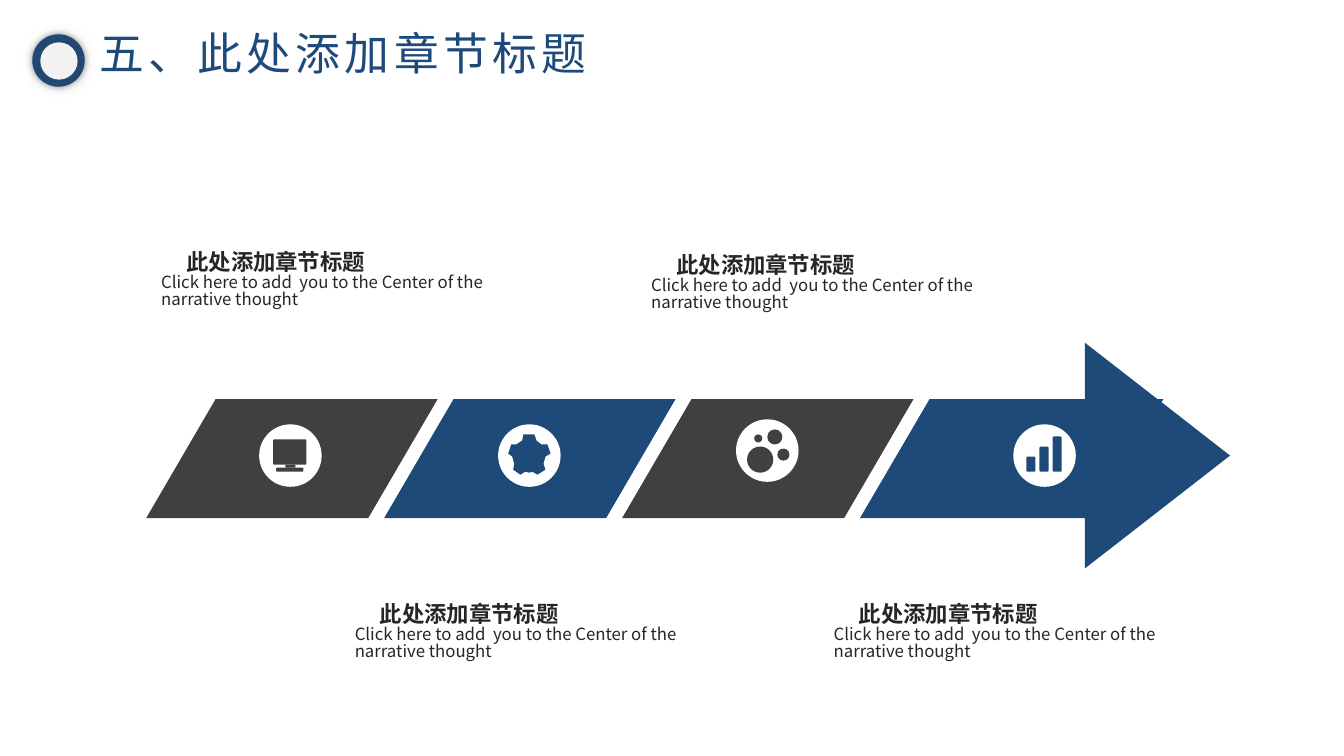
from lxml.etree import SubElement
from pptx import Presentation
from pptx.dml.color import RGBColor
from pptx.enum.shapes import MSO_SHAPE
from pptx.enum.text import MSO_ANCHOR
from pptx.oxml.ns import qn
from pptx.util import Emu, Pt

PX = 9144  # one px is a hundredth of an inch
FONT = "Noto Sans CJK SC"
NAVY, BLUE, GRAY = "1E4A7B", "1E4A7A", "404040"
WHITE, PALE, INK = "FFFFFF", "F2F2F2", "262626"
OVAL, RECT = MSO_SHAPE.OVAL, MSO_SHAPE.RECTANGLE
ROUND, SLANT = MSO_SHAPE.ROUNDED_RECTANGLE, MSO_SHAPE.PARALLELOGRAM

HEAD = "此处添加章节标题"
BODY = ["Click here to add  you to the Center of the", "narrative thought"]

ARROW = [(1076, 340), (1148, 396), (1154, 396), (1152, 399), (1220, 452),
         (1076, 564), (1076, 514), (853, 514), (922, 396), (1076, 396)]
GEAR = [(16, 1), (14, 8), (16, 14), (8, 19), (3, 16), (0, 17), (-4, 16),
        (-9, 19), (-16, 14), (-15, 8), (-17, 1), (-21, -2), (-18, -11),
        (-13, -11), (-7, -15), (-6, -21), (5, -21), (7, -15), (12, -11),
        (18, -11), (21, -2)]


def emu(*sizes):
    return [Emu(size * PX) for size in sizes]


def color(code):
    return RGBColor.from_string(code)


def paint(shape, code):
    shape.shadow.inherit = False
    shape.fill.solid()
    shape.fill.fore_color.rgb = color(code)
    shape.line.fill.background()
    return shape


def block(shapes, kind, box, code, adj=None):
    shape = paint(shapes.add_shape(kind, *emu(*box)), code)
    if adj is not None:
        shape.adjustments[0] = adj
    return shape


def outline(shapes, points, code):
    pen = shapes.build_freeform(*points[0], scale=PX)
    pen.add_line_segments(points[1:], close=True)
    return paint(pen.convert_to_shape(), code)


def glow(shape, code, alpha, blur):
    effects = shape._element.spPr.find(qn("a:effectLst"))
    outer = SubElement(effects, qn("a:outerShdw"), blurRad=str(Pt(blur)),
                       dist="0", dir="0", algn="ctr", rotWithShape="0")
    tint = SubElement(outer, qn("a:srgbClr"), val=code)
    SubElement(tint, qn("a:alpha"), val=str(alpha * 1000))


def frame(shapes, box, inset):
    text = shapes.add_textbox(*emu(*box)).text_frame
    text.word_wrap = True
    text.vertical_anchor = MSO_ANCHOR.TOP
    text.margin_left = text.margin_right = Emu(inset[0] * PX)
    text.margin_top = text.margin_bottom = Emu(inset[1] * PX)
    return text


def write(para, words, size, code, bold=False, space=None):
    run = para.add_run()
    run.text = words
    run.font.size = Pt(size)
    run.font.bold = bold
    run.font.color.rgb = color(code)
    run.font.name = FONT
    props = run.font._element
    SubElement(props, qn("a:ea"), typeface=FONT)
    if space:
        props.set("spc", str(space * 100))


def title(shapes):
    ring = shapes.add_group_shape().shapes
    glow(block(ring, OVAL, (32, 34, 52, 52), NAVY), "000000", 40, 5)
    glow(block(ring, OVAL, (40, 42, 37, 37), PALE), GRAY, 50, 15)
    para = frame(shapes, (92, 27, 546, 61), (7, 4)).paragraphs[0]
    para.line_spacing = 0.92
    write(para, "五、" + HEAD, 32, NAVY, space=3)


def note(shapes, left, top):
    text = frame(shapes, (left, top, 368, 125), (10, 5))
    para = text.paragraphs[0]
    para.line_spacing = 0.83
    para._p.get_or_add_pPr().set("marL", str(25 * PX))
    write(para, HEAD, 16, INK, bold=True)
    for line in BODY:
        para = text.add_paragraph()
        para.line_spacing = 0.83
        write(para, line, 12, INK)


def disc(shapes, x, y):
    block(shapes, OVAL, (x - 31, y - 31, 62, 62), WHITE)


def parts(shapes, x, y, code, items):
    disc(shapes, x, y)
    for kind, left, top, wide, high, adj in items:
        block(shapes, kind, (x + left, y + top, wide, high), code, adj)


def gear(shapes, x, y, code):
    disc(shapes, x, y)
    outline(shapes, [(x + dx, y + dy) for dx, dy in GEAR], code)


def main():
    deck = Presentation()
    deck.slide_width, deck.slide_height = emu(1333, 750)
    shapes = deck.slides.add_slide(deck.slide_layouts[6]).shapes

    title(shapes)

    # Band of steps ending in the arrow
    for i, code in enumerate([GRAY, BLUE, GRAY]):
        block(shapes, SLANT, (145 + 236 * i, 396, 289, 118), code, 0.583)
    outline(shapes, ARROW, BLUE)

    # Icons: screen, gear, bubbles, bars
    screen = [(ROUND, -17, -16, 33, 25, 0.04), (RECT, -5, 9, 10, 3, None),
              (ROUND, -14, 12, 27, 4, 0.3)]
    dots = [(-13, -16, 8), (-20, -4, 26), (0, -21, 15), (10, -2, 12)]
    bubbles = [(OVAL, dx, dy, d, d, None) for dx, dy, d in dots]
    bars = [(ROUND, 13 * i - 18, 1 - 10 * i, 9, 15 + 10 * i, 0.15)
            for i in range(3)]
    parts(shapes, 288, 452, GRAY, screen)
    gear(shapes, 525, 452, BLUE)
    parts(shapes, 761, 447, GRAY, bubbles)
    parts(shapes, 1036, 452, BLUE, bars)

    # Notes above and below the band
    for left, top in [(150, 246), (636, 249), (342, 595), (817, 595)]:
        note(shapes, left, top)

    deck.save("out.pptx")


if __name__ == "__main__":
    main()
